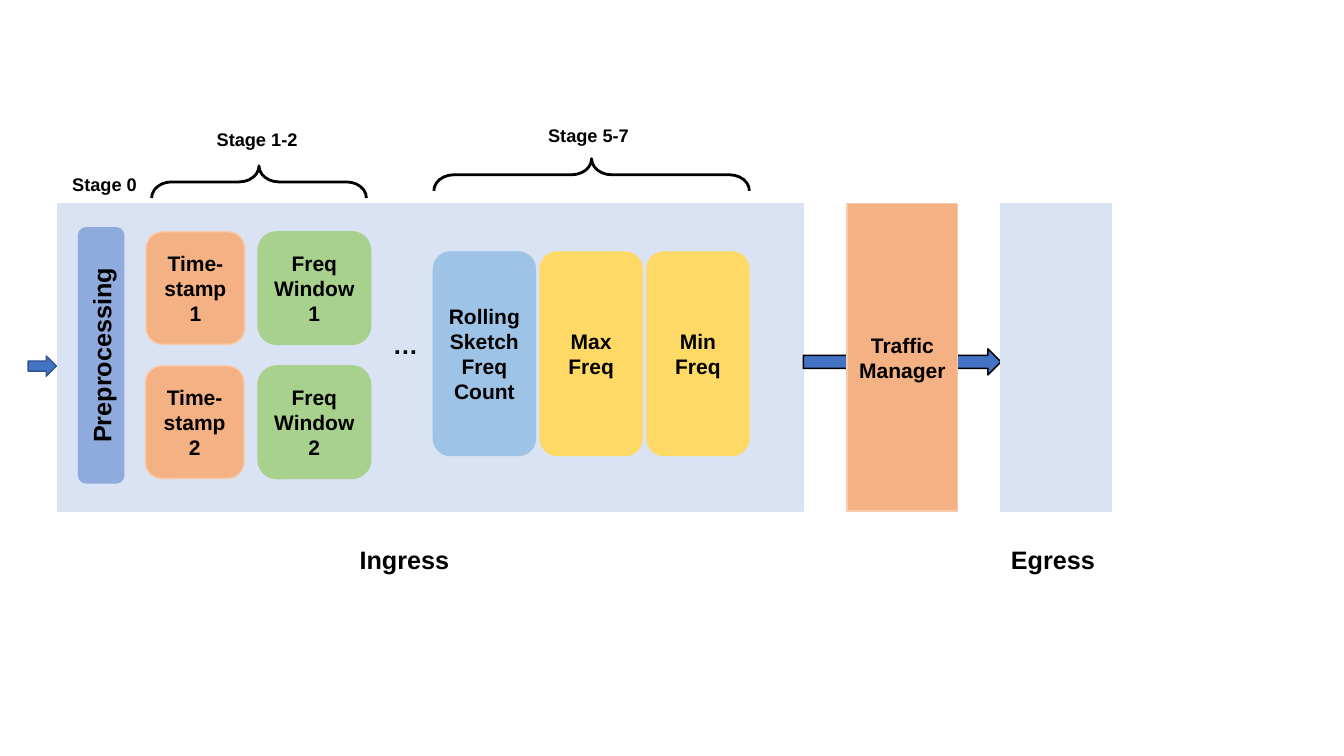
from pptx import Presentation
from pptx.dml.color import RGBColor
from pptx.enum.shapes import MSO_SHAPE
from pptx.enum.text import MSO_ANCHOR, PP_ALIGN
from pptx.oxml.ns import qn
from pptx.util import Cm, Pt

RECT = MSO_SHAPE.RECTANGLE
ROUND = MSO_SHAPE.ROUNDED_RECTANGLE
ARROW = MSO_SHAPE.RIGHT_ARROW
BRACE = MSO_SHAPE.LEFT_BRACE
MIDDLE = MSO_ANCHOR.MIDDLE
CENTER, LEFT = PP_ALIGN.CENTER, PP_ALIGN.LEFT

BLACK, PALE, BLUE = "000000", "DAE3F3", "4472C4"
ORANGE, PEACH = "F4B183", "F8CBAD"
GREEN, SKY, YELLOW = "A9D18E", "9DC3E6", "FFD966"

deck = Presentation()
deck.slide_width, deck.slide_height = Cm(33.86), Cm(19.05)
slide = deck.slides.add_slide(deck.slide_layouts[6])


def write(shape, text, size, align):
    frame = shape.text_frame
    frame.word_wrap = True
    frame.text = text
    for para in frame.paragraphs:
        para.alignment = align
        para.font.name = "Arial"
        para.font.size = Pt(size)
        para.font.bold = True
        para.font.color.rgb = RGBColor.from_string(BLACK)


def draw(kind, left, top, width, height, fill, line, text="", size=15):
    shape = slide.shapes.add_shape(kind, Cm(left), Cm(top), Cm(width), Cm(height))
    shape.shadow.inherit = False
    if fill:
        shape.fill.solid()
        shape.fill.fore_color.rgb = RGBColor.from_string(fill)
    else:
        shape.fill.background()
    shape.line.color.rgb = RGBColor.from_string(line)
    shape.line.width = Pt(1)
    if text:
        frame = shape.text_frame
        frame.margin_left = frame.margin_right = Cm(0.12)
        frame.vertical_anchor = MIDDLE
        write(shape, text, size, CENTER)
    return shape


# Ingress and egress pipelines, with the traffic manager over the arrow
TOP, HIGH = 5.13, 7.75
draw(RECT, 1.45, TOP, 18.8, HIGH, PALE, PALE)
draw(ARROW, 0.71, 8.97, 0.71, 0.51, BLUE, "325491")
draw(ARROW, 20.24, 8.79, 4.98, 0.66, BLUE, BLACK)
draw(RECT, 25.22, TOP, 2.79, HIGH, PALE, PALE)
draw(RECT, 21.34, TOP, 2.79, HIGH, ORANGE, PEACH, "Traffic\nManager")

# Stage 0
prep = draw(ROUND, 1.98, 5.74, 1.14, 6.43, "8FAADC", "8FAADC", "Preprocessing", 18)
prep.text_frame.margin_top = prep.text_frame.margin_bottom = Cm(0.12)
prep.element.find(".//" + qn("a:bodyPr")).set("vert", "vert270")

# Stages 1-2: two rows of timestamp and window
for row, left in enumerate((3.68, 3.66)):
    top = 5.84 + row * 3.38
    draw(ROUND, left, top, 2.49, 2.84, ORANGE, PEACH, f"Time-stamp\n{row + 1}")
    draw(ROUND, 6.5, top, 2.84, 2.84, GREEN, GREEN, f"Freq\nWindow\n{row + 1}")

# Stages 5-7
counts = [("Rolling\nSketch\nFreq\nCount", SKY), ("Max\nFreq", YELLOW), ("Min\nFreq", YELLOW)]
for col, (text, fill) in enumerate(counts):
    draw(ROUND, 10.92 + col * 2.69, 6.35, 2.57, 5.13, fill, fill, text)

# Braces over the stages
for left, top, span in ((6.12, 1.88, 5.41), (14.5, 0.43, 7.95)):
    brace = draw(BRACE, left, top, 0.81, span, None, BLACK)
    brace.rotation = 90
    brace.adjustments[0] = 0.62
    brace.line.width = Pt(2)

# Labels
labels = [
    ("Stage 0", 1.57, 4.24, 2.24, 13),
    ("Stage 1-2", 5.21, 3.1, 2.64, 13),
    ("Stage 5-7", 13.56, 3.0, 2.64, 13),
    ("…", 9.65, 8.18, 1.14, 18),
    ("Ingress", 8.81, 13.59, 2.84, 18),
    ("Egress", 25.22, 13.59, 2.84, 18),
]
for text, left, top, width, size in labels:
    box = slide.shapes.add_textbox(Cm(left), Cm(top), Cm(width), Cm(size * 0.06))
    write(box, text, size, LEFT)

deck.save("out.pptx")
